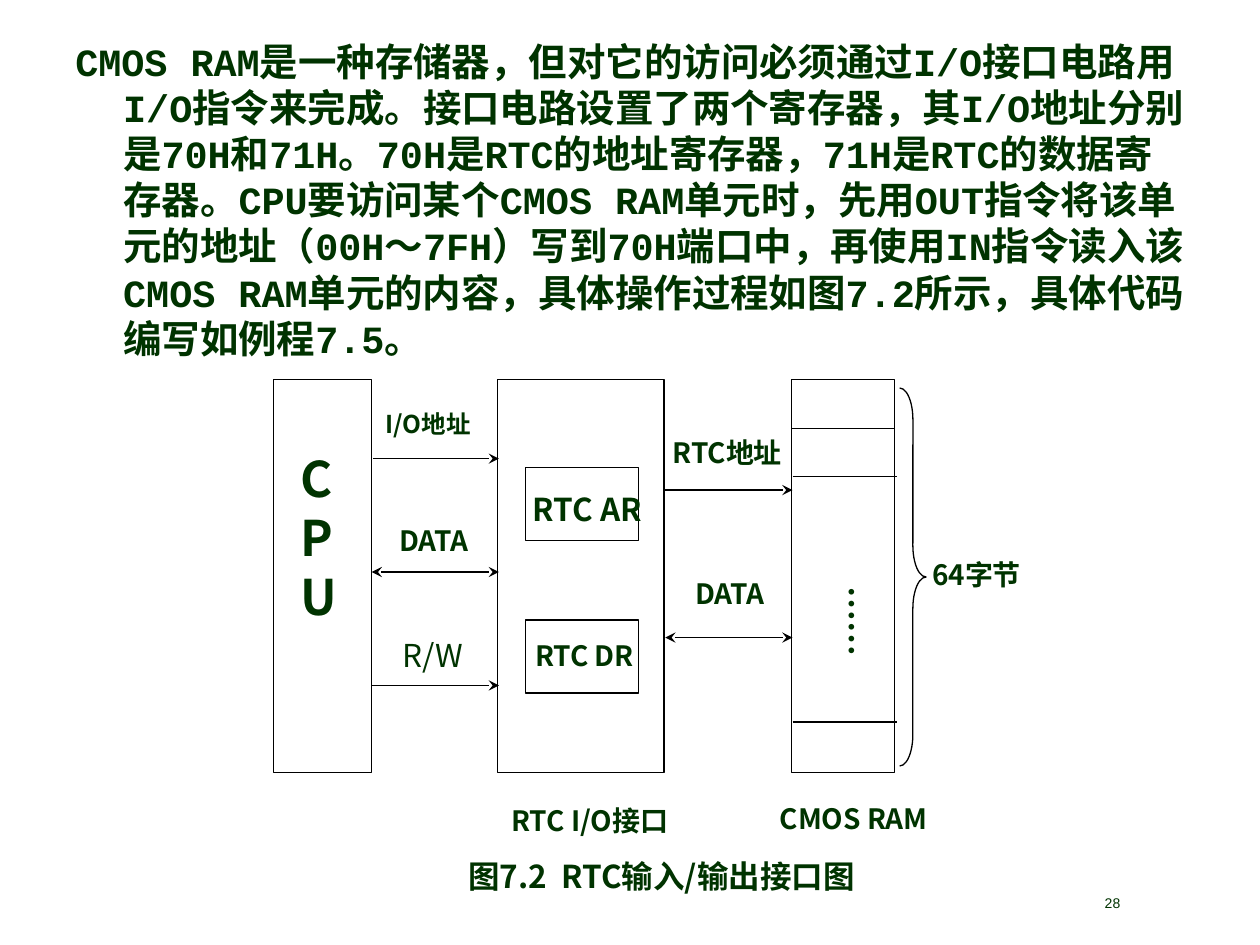
"""Build the slide on CMOS RAM access through the RTC I/O interface."""
from dataclasses import dataclass

from lxml.etree import SubElement
from pptx import Presentation
from pptx.dml.color import RGBColor
from pptx.enum.shapes import MSO_CONNECTOR, MSO_SHAPE
from pptx.enum.text import MSO_ANCHOR, PP_ALIGN
from pptx.oxml.ns import qn
from pptx.util import Inches, Pt


@dataclass(frozen=True)
class Theme:
    ink: RGBColor = RGBColor(0x00, 0x33, 0x00)
    line: RGBColor = RGBColor(0x00, 0x00, 0x00)
    paper: RGBColor = RGBColor(0xFF, 0xFF, 0xFF)
    stroke: Pt = Pt(0.75)
    sans: str = "Noto Sans CJK SC"
    mono: str = "Courier New"
    serif: str = "Times New Roman"
    footer_font: str = "Arial"
    body: int = 22
    block: int = 28
    dots: int = 20
    large: int = 18
    label: int = 16
    small: int = 14
    footer: int = 8


theme = Theme()
deck = Presentation()
deck.slide_width, deck.slide_height = Inches(10), Inches(7.5)
page = deck.slides.add_slide(deck.slide_layouts[6])


def add_text(place, lines, size, name=theme.sans, bold=True, align=PP_ALIGN.LEFT):
    box = page.shapes.add_textbox(*map(Inches, place))
    frame = box.text_frame
    frame.word_wrap = True
    font_format = {"size": Pt(size), "bold": bold, "name": name}
    for index, line in enumerate(lines):
        para = frame.paragraphs[0] if index == 0 else frame.add_paragraph()
        para.alignment = align
        span = para.add_run()
        span.text = line
        for key, value in font_format.items():
            setattr(span.font, key, value)
        span.font.color.rgb = theme.ink
        SubElement(span.font._element, qn("a:ea")).set("typeface", theme.sans)
    return frame


def add_line(left, right, top, arrows=()):
    line = page.shapes.add_connector(
        MSO_CONNECTOR.STRAIGHT, Inches(left), Inches(top), Inches(right), Inches(top))
    line.line.color.rgb = theme.line
    line.line.width = theme.stroke
    for end in arrows:
        SubElement(line.line._get_or_add_ln(), qn(f"a:{end}")).set("type", "stealth")
    SubElement(line._element.spPr, qn("a:effectLst"))


body = add_text((0.5, 0.25, 9, 2.67), [
    "CMOS RAM是一种存储器，但对它的访问必须通过I/O接口电路用I/O指令来完成。"
    "接口电路设置了两个寄存器，其I/O地址分别是70H和71H。70H是RTC的地址寄存器，"
    "71H是RTC的数据寄存器。CPU要访问某个CMOS RAM单元时，先用OUT指令将该单元的地址"
    "（00H～7FH）写到70H端口中，再使用IN指令读入该CMOS RAM单元的内容，"
    "具体操作过程如图7.2所示，具体代码编写如例程7.5。"], theme.body, theme.mono)
indent = body.paragraphs[0]._p.get_or_add_pPr()
indent.set("marL", str(Inches(0.38)))
indent.set("indent", str(-Inches(0.38)))

for place in (
    (2.17, 3.01, 0.78, 3.12),
    (3.95, 3.01, 1.32, 3.12),
    (4.17, 3.71, 0.9, 0.58),
    (4.17, 4.92, 0.9, 0.58),
    (6.28, 3.01, 0.82, 3.12),
):
    block = page.shapes.add_shape(MSO_SHAPE.RECTANGLE, *map(Inches, place))
    block.shadow.inherit = False
    block.fill.solid()
    block.fill.fore_color.rgb = theme.paper
    block.line.color.rgb = theme.line
    block.line.width = theme.stroke

one_way, two_way = ("tailEnd",), ("headEnd", "tailEnd")
for left, right, top, arrows in (
    (2.96, 3.96, 3.64, one_way),
    (2.95, 3.96, 4.54, two_way),
    (2.95, 3.96, 5.44, one_way),
    (5.28, 6.29, 3.89, one_way),
    (5.28, 6.29, 5.06, two_way),
    (6.28, 7.1, 3.4, ()),
    (6.29, 7.12, 3.78, ()),
    (6.29, 7.12, 5.73, ()),
):
    add_line(left, right, top, arrows)

for label, left, top, width, size, bold in (
    ("I/O地址", 2.96, 3.2, 1.03, theme.small, True),
    ("DATA", 3.07, 4.11, 1.03, theme.label, True),
    ("R/W", 3.1, 5, 1.03, theme.large, False),
    ("RTC AR", 4.13, 3.84, 1.23, theme.large, True),
    ("RTC DR", 4.15, 5.02, 1.23, theme.label, True),
    ("RTC地址", 5.24, 3.41, 1.23, theme.label, True),
    ("DATA", 5.42, 4.53, 0.82, theme.label, True),
    ("RTC I/O接口", 3.96, 6.33, 1.65, theme.label, True),
    ("CMOS RAM", 6.09, 6.31, 1.65, theme.label, True),
    ("64字节", 7.3, 4.38, 1.03, theme.label, True),
):
    add_text((left, top, width, 0.4), [label], size, bold=bold)

add_text((2.29, 3.51, 0.82, 2.63), "CPU", theme.block)
dots = add_text((6.54, 4.56, 0.62, 1.46), ["……"], theme.dots, theme.serif,
                align=PP_ALIGN.CENTER)
dots.vertical_anchor = MSO_ANCHOR.MIDDLE
dots._txBody.bodyPr.set("vert", "eaVert")

brace = page.shapes.add_shape(
    MSO_SHAPE.RIGHT_BRACE, Inches(7.14), Inches(3.08), Inches(0.21), Inches(3))
brace.shadow.inherit = False
brace.adjustments[0] = 1.19
brace.fill.background()
brace.line.color.rgb = theme.line
brace.line.width = theme.stroke

add_text((2.83, 6.75, 4.84, 0.46), ["图7.2  RTC输入/输出接口图"], theme.large,
         align=PP_ALIGN.CENTER)
number = add_text((7.68, 7.05, 2.3, 0.24), ["28"], theme.footer, theme.footer_font,
                  bold=False, align=PP_ALIGN.CENTER)
number.vertical_anchor = MSO_ANCHOR.MIDDLE

deck.save("out.pptx")
